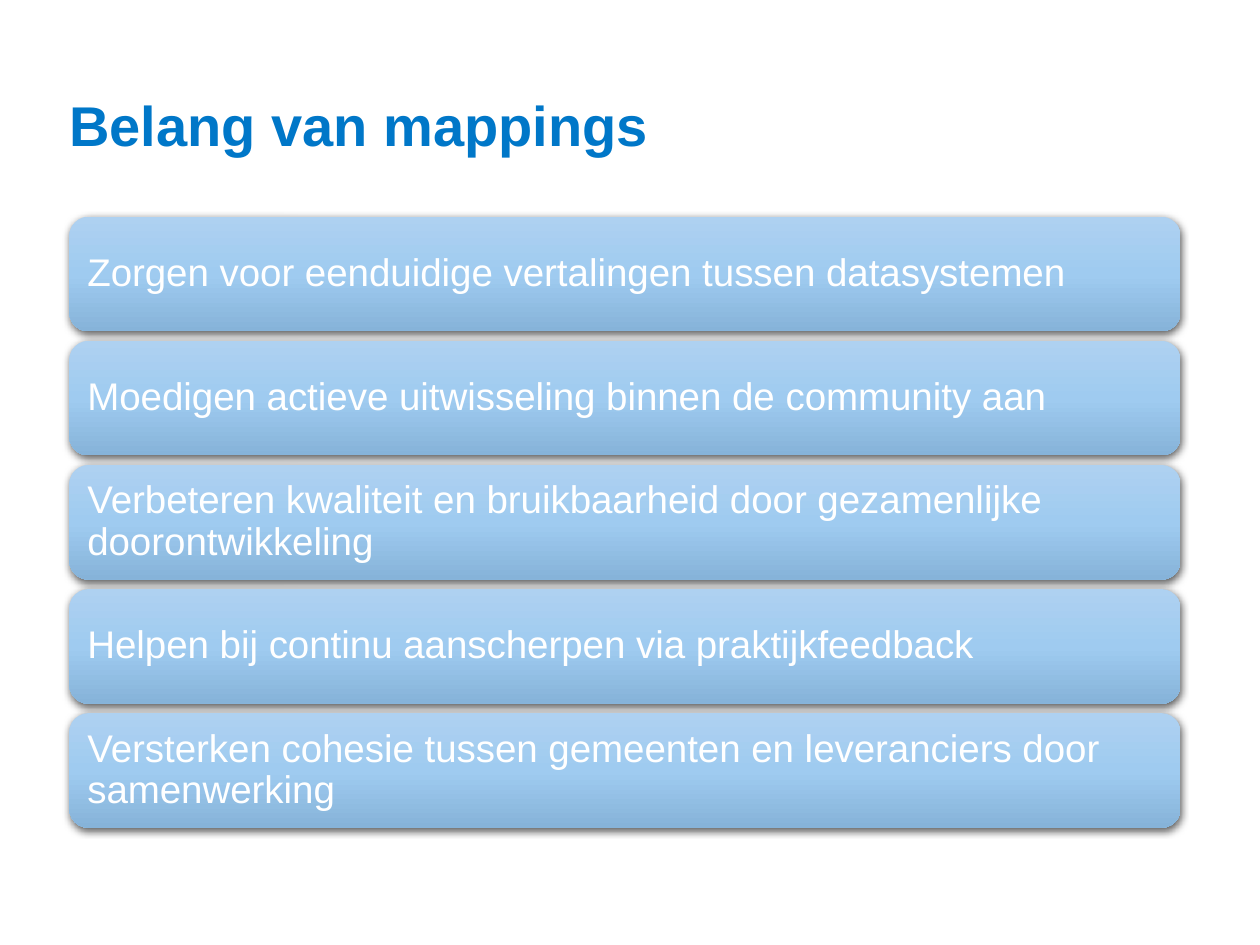
"""Build a slide with a title and a stack of five gradient bars."""
from copy import deepcopy
from dataclasses import dataclass

from lxml.etree import SubElement
from pptx import Presentation
from pptx.dml.color import RGBColor as RGB
from pptx.enum.shapes import MSO_SHAPE as Shape
from pptx.enum.text import MSO_ANCHOR as Anchor, MSO_AUTO_SIZE as AutoSize, PP_ALIGN as Align
from pptx.oxml.ns import qn
from pptx.util import Inches, Pt


@dataclass(frozen=True)
class Theme:
    font: str = "Arial"
    title: str = "0077C8"
    text: str = "FFFFFF"
    shadow: str = "000000"
    gradient: tuple = ((0, "AED1F1"), (0.5, "9FCBF0"), (1, "86B3D9"))
    title_size: int = 32
    bar_size: int = 22


@dataclass(frozen=True)
class Stack:
    left: float = 0.55
    top: float = 1.72
    width: float = 8.82
    height: float = 0.91
    pitch: float = 0.985

    def box(self, row: int) -> tuple:
        top = self.top + row * self.pitch
        return tuple(Inches(v) for v in (self.left, top, self.width, self.height))


@dataclass(frozen=True)
class Bar:
    row: int
    text: str


THEME = Theme()
STACK = Stack()
BARS = [Bar(row, text) for row, text in enumerate((
    "Zorgen voor eenduidige vertalingen tussen datasystemen",
    "Moedigen actieve uitwisseling binnen de community aan",
    "Verbeteren kwaliteit en bruikbaarheid door gezamenlijke doorontwikkeling",
    "Helpen bij continu aanscherpen via praktijkfeedback",
    "Versterken cohesie tussen gemeenten en leveranciers door samenwerking",
))]


def write(sp, text: str, size: int, color: str, spacing: float, inset: float, bold: bool = False) -> None:
    tf = sp.text_frame
    tf.word_wrap = True
    tf.auto_size = AutoSize.NONE
    tf.vertical_anchor = Anchor.MIDDLE
    tf.margin_left = tf.margin_top = tf.margin_right = tf.margin_bottom = Inches(inset)
    p = tf.paragraphs[0]
    p.alignment = Align.LEFT
    p.line_spacing = spacing
    r = p.add_run()
    r.text = text
    r.font.name = THEME.font
    r.font.size = Pt(size)
    r.font.bold = bold
    r.font.color.rgb = RGB.from_string(color)


def fill_gradient(sp) -> None:
    sp.fill.gradient()
    sp.fill.gradient_angle = 270
    stops = sp._element.spPr.find(".//" + qn("a:gsLst"))
    stops.insert(1, deepcopy(stops[0]))
    for stop, (position, color) in zip(sp.fill.gradient_stops, THEME.gradient):
        stop.position = position
        stop.color.rgb = RGB.from_string(color)


def add_shadow(sp) -> None:
    sp.shadow.inherit = False
    effects = sp._element.spPr.find(qn("a:effectLst"))
    outer = SubElement(effects, qn("a:outerShdw"), blurRad=str(Pt(4.5)), dist=str(Pt(1.5)),
                       dir="5400000", rotWithShape="0")
    color = SubElement(outer, qn("a:srgbClr"), val=THEME.shadow)
    SubElement(color, qn("a:alpha"), val="63000")


def draw_bar(s, bar: Bar) -> None:
    sp = s.shapes.add_shape(Shape.ROUNDED_RECTANGLE, *STACK.box(bar.row))
    sp.adjustments[0] = 0.167
    sp.line.fill.background()
    fill_gradient(sp)
    add_shadow(sp)
    write(sp, bar.text, THEME.bar_size, THEME.text, spacing=0.9, inset=0.1)


def draw_title(s, text: str) -> None:
    sp = s.shapes.title
    sp.left, sp.top = Inches(STACK.left), Inches(0.37)
    sp.width, sp.height = Inches(STACK.width), Inches(1.31)
    write(sp, text, THEME.title_size, THEME.title, spacing=0.85, inset=0, bold=True)


def main() -> None:
    prs = Presentation()
    prs.slide_width, prs.slide_height = Inches(10), Inches(7.5)
    s = prs.slides.add_slide(prs.slide_layouts[5])
    draw_title(s, "Belang van mappings")
    for bar in BARS:
        draw_bar(s, bar)
    prs.save("out.pptx")


if __name__ == "__main__":
    main()
